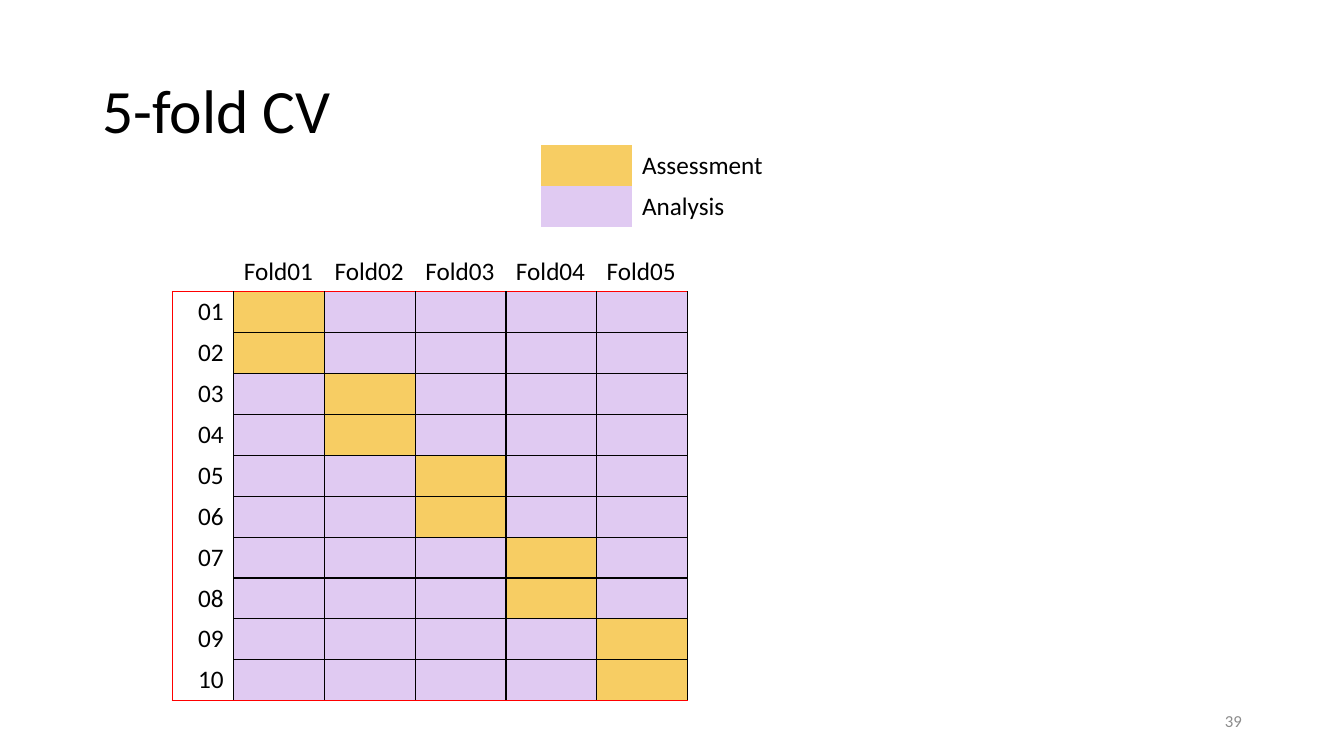
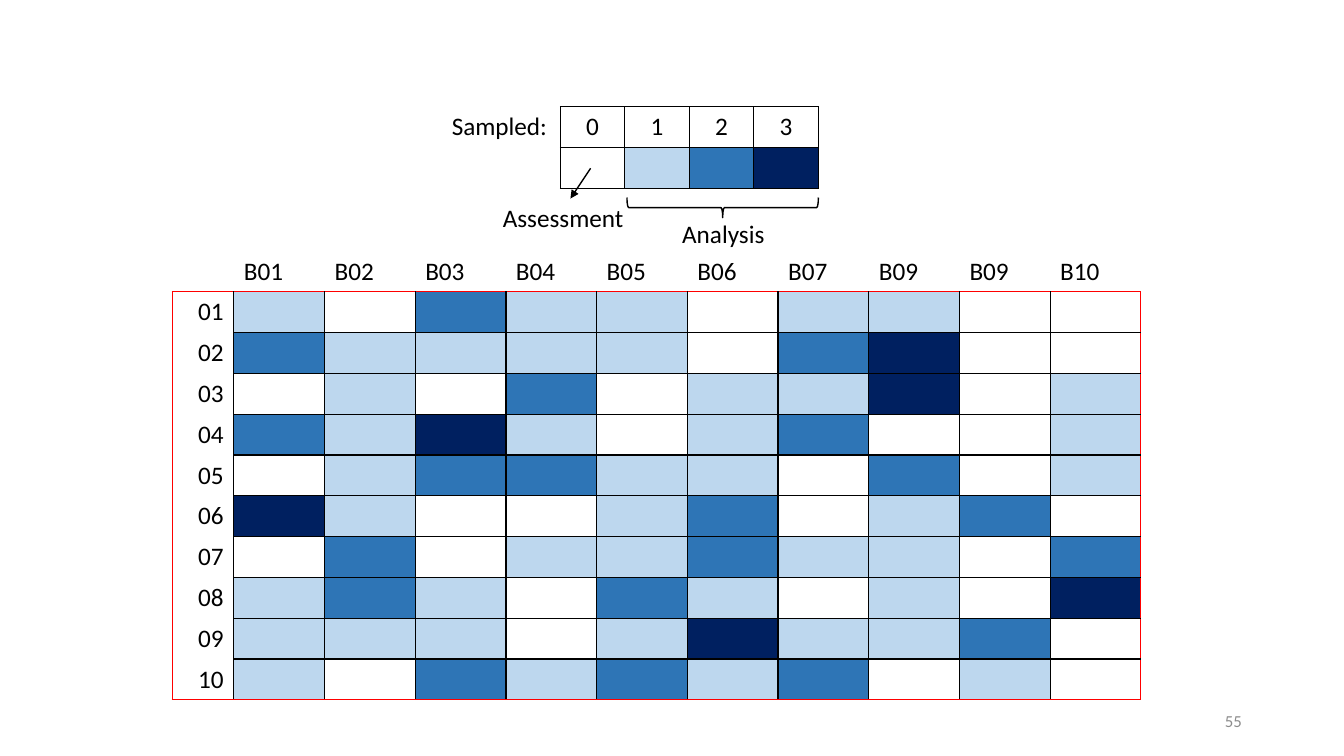
"""Two slides on resampling: five-fold cross-validation and bootstrap samples."""
from lxml import etree
from pptx import Presentation
from pptx import util as u
from pptx.dml import color
from pptx.enum import shapes, text
from pptx.oxml import ns

PX = u.Inches(1) // 200
FONT = "Calibri"
BLACK, RED, GREY = "000000", "FF0000", "8C8C8C"
ASSESSMENT, ANALYSIS = "F7CD63", "E0CAF2"
SAMPLED = [None, "BDD7EE", "2E75B6", "002060"]
LABEL_W, COLUMN_W, ROW_H = 122, 180, 81
LEFT, CENTER, RIGHT = text.PP_ALIGN.LEFT, text.PP_ALIGN.CENTER, text.PP_ALIGN.RIGHT
MIDDLE, TOP = text.MSO_ANCHOR.MIDDLE, text.MSO_ANCHOR.TOP
rgb = color.RGBColor.from_string


def write(frame, words, align=LEFT, size=18, ink=BLACK):
    """Put one run of text into a frame and return its paragraph."""
    para = frame.paragraphs[0]
    para.alignment = align
    span = para.add_run()
    span.text = words
    span.font.name = FONT
    span.font.size = u.Pt(size)
    span.font.color.rgb = rgb(ink)
    return para


def add_grid(page, left, top, widths, rows):
    """Add a table whose cells are (words, align, fill, {side: line colour})."""
    table = page.shapes.add_table(len(rows), len(widths), left * PX, top * PX,
                                  sum(widths) * PX, len(rows) * ROW_H * PX).table
    table.first_row = table.horz_banding = False
    for column, width in zip(table.columns, widths):
        column.width = width * PX
    for r, row in enumerate(rows):
        table.rows[r].height = ROW_H * PX
        for c, (words, align, fill, edges) in enumerate(row):
            cell = table.cell(r, c)
            if words:
                write(cell.text_frame, words, align)
            if fill:
                cell.fill.solid()
                cell.fill.fore_color.rgb = rgb(fill)
            else:
                cell.fill.background()
            for place, side in enumerate("LRTB"):
                line = etree.Element(ns.qn("a:ln" + side), w=str(u.Pt(1)))
                if side in edges:
                    paint = etree.SubElement(line, ns.qn("a:solidFill"))
                    etree.SubElement(paint, ns.qn("a:srgbClr"), val=edges[side])
                else:
                    etree.SubElement(line, ns.qn("a:noFill"))
                cell._tc.get_or_add_tcPr().insert(place, line)


deck = Presentation()
deck.slide_width, deck.slide_height = 2667 * PX, 1500 * PX

fold_fills = [[ASSESSMENT if row // 2 == fold else ANALYSIS for fold in range(5)]
              for row in range(10)]
draws = ["1021101100", "2111102300", "0102011301", "2131012001", "0122110201",
         "3100120120", "0201121102", "1210210103", "1110131120", "1021212010"]
draw_fills = [[SAMPLED[int(count)] for count in row] for row in draws]
fold_heads = [f"Fold{n:02}" for n in range(1, 6)]
draw_heads = ["B01", "B02", "B03", "B04", "B05", "B06", "B07", "B09", "B09", "B10"]

pages = []
for number, heads, fills, right_edge in [("39", fold_heads, fold_fills, BLACK),
                                         ("55", draw_heads, draw_fills, RED)]:
    page = deck.slides.add_slide(deck.slide_layouts[6])
    pages.append(page)
    rows = [[(head, LEFT, None, {"B": RED}) for head in [""] + heads]]
    for r, row_fills in enumerate(fills):
        top = {"T": RED} if r == 0 else {}
        bottom = {"B": RED} if r == len(fills) - 1 else {}
        row = [(f"{r + 1:02}", RIGHT, None, {"L": RED, "R": BLACK} | top | bottom)]
        for c, fill in enumerate(row_fills):
            edges = dict.fromkeys("LRTB", BLACK) | top | bottom
            if c == len(heads) - 1:
                edges["R"] = right_edge
            row.append(("", LEFT, fill, edges))
        rows.append(row)
    add_grid(page, 342, 498, [LABEL_W] + [COLUMN_W] * len(heads), rows)
    box = page.shapes.add_textbox(1884 * PX, 1390 * PX, 600 * PX, 80 * PX)
    box.text_frame.word_wrap = True
    box.text_frame.vertical_anchor = MIDDLE
    write(box.text_frame, number, RIGHT, 12, GREY)

folds, bootstrap = pages

title = folds.shapes.add_textbox(184 * PX, 80 * PX, 2300 * PX, 290 * PX)
title.text_frame.word_wrap = True
title.text_frame.vertical_anchor = MIDDLE
write(title.text_frame, "5-fold CV", size=44).line_spacing = 0.9
add_grid(folds, 1074, 288, [COLUMN_W, 280],
         [[("", LEFT, fill, {}), (words, LEFT, None, {})]
          for words, fill in [("Assessment", ASSESSMENT), ("Analysis", ANALYSIS)]])

boxed = dict.fromkeys("LRTB", BLACK)
add_grid(bootstrap, 870, 212, [242] + [128] * len(SAMPLED), [
    [("Sampled:", CENTER, None, {"R": BLACK})]
    + [(str(count), CENTER, None, boxed) for count in range(len(SAMPLED))],
    [("", CENTER, None, {"R": BLACK})]
    + [("", CENTER, fill, boxed) for fill in SAMPLED]])

arrow = bootstrap.shapes.add_connector(shapes.MSO_CONNECTOR.STRAIGHT,
                                       1172 * PX, 334 * PX, 1132 * PX, 394 * PX)
arrow.line.color.rgb = rgb(BLACK)
arrow.line.width = u.Pt(1)
etree.SubElement(arrow.line._get_or_add_ln(), ns.qn("a:tailEnd"), type="triangle")
etree.SubElement(arrow._element.spPr, ns.qn("a:effectLst"))

for words, left, top in [("Assessment", 978, 392), ("Analysis", 1334, 424)]:
    box = bootstrap.shapes.add_textbox(left * PX, top * PX, 310 * PX, ROW_H * PX)
    box.text_frame.word_wrap = True
    box.text_frame.vertical_anchor = TOP
    write(box.text_frame, words)

brace = bootstrap.shapes.add_shape(shapes.MSO_SHAPE.RIGHT_BRACE,
                                   1414 * PX, 222 * PX, 40 * PX, 380 * PX)
brace.rotation = 90
brace.shadow.inherit = False
brace.fill.background()
brace.line.color.rgb = rgb(BLACK)
brace.line.width = u.Pt(1)

deck.save("out.pptx")
